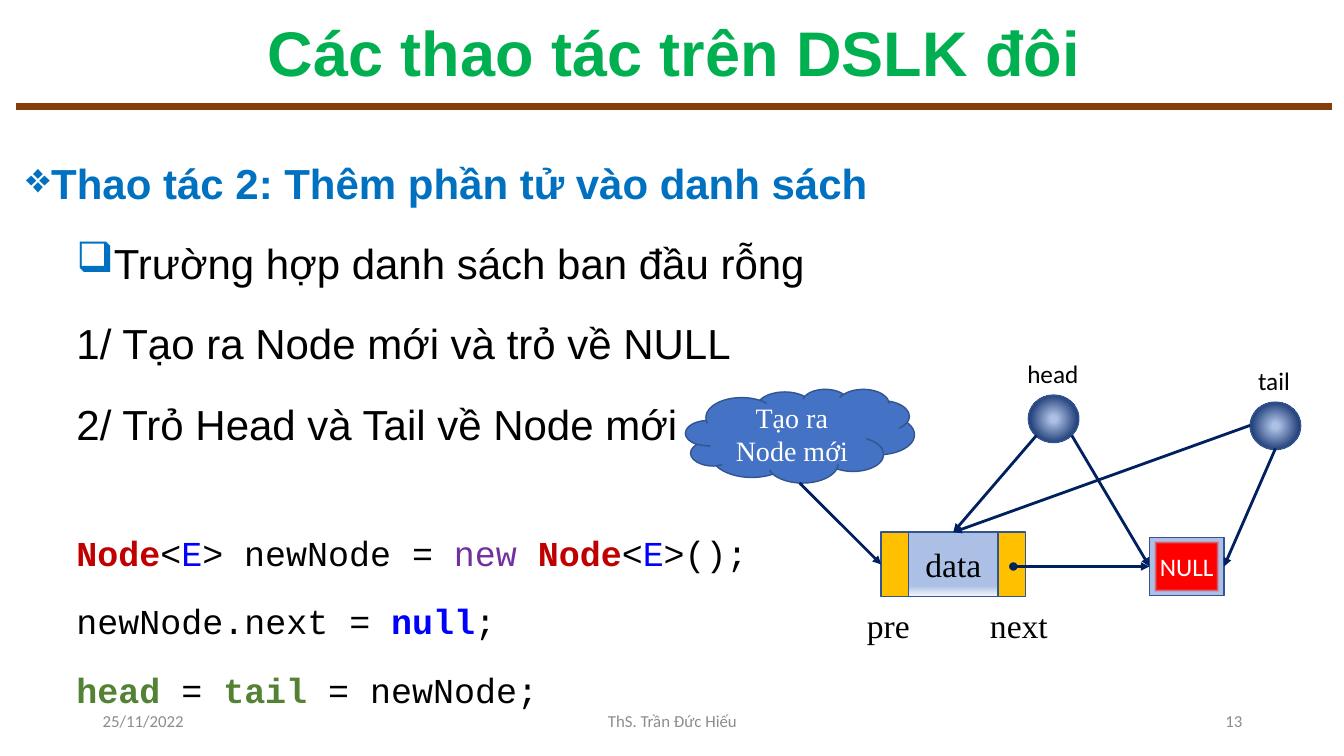
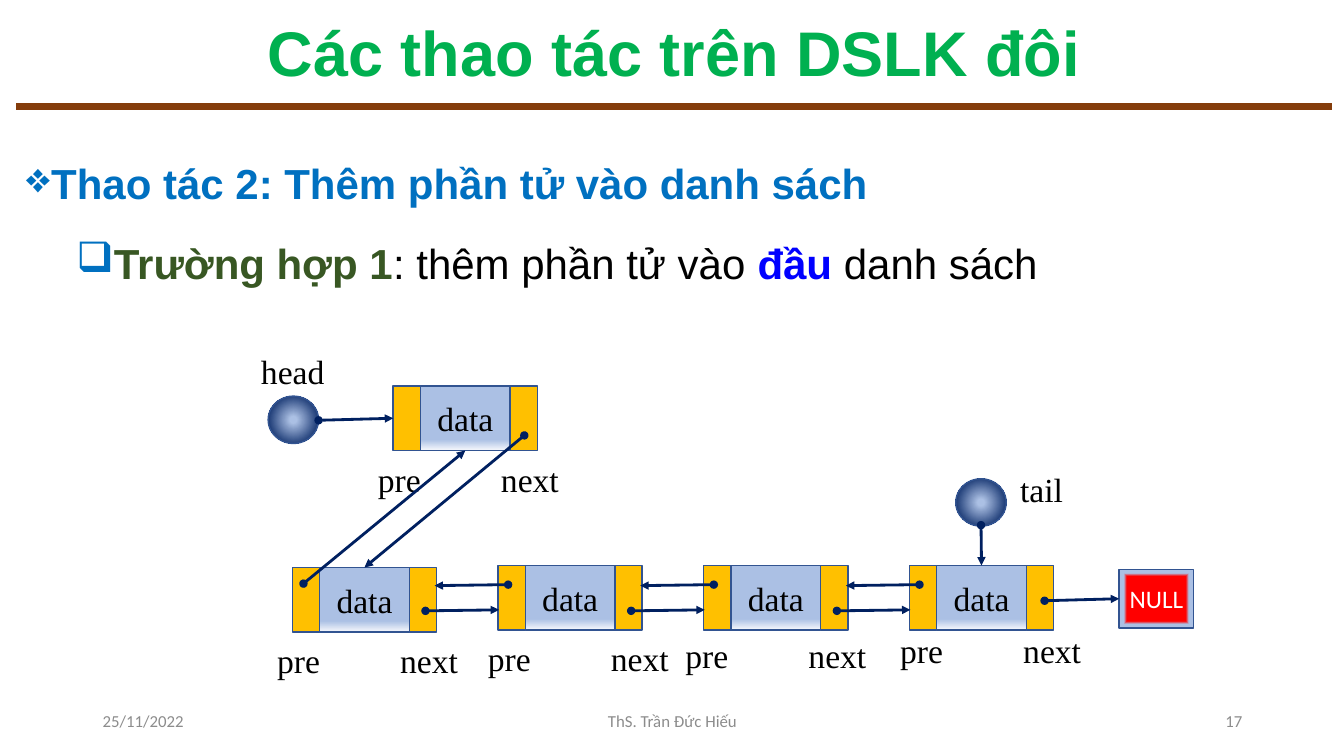
from lxml.etree import SubElement
from pptx import Presentation
from pptx.dml.color import RGBColor
from pptx.enum.shapes import MSO_CONNECTOR, MSO_SHAPE
from pptx.enum.text import MSO_ANCHOR, MSO_AUTO_SIZE, PP_ALIGN
from pptx.oxml.ns import qn
from pptx.util import Inches, Pt

GREEN = RGBColor(0x00, 0xB0, 0x50)
BROWN = RGBColor(0x84, 0x3C, 0x0B)
BLUE = RGBColor(0x00, 0x70, 0xC0)
GRAY = RGBColor(0x8C, 0x8C, 0x8C)
BLACK = RGBColor(0x00, 0x00, 0x00)
WHITE = RGBColor(0xFF, 0xFF, 0xFF)
NAVY = RGBColor(0x00, 0x20, 0x60)
EDGE = RGBColor(0x32, 0x54, 0x91)
CLOUD = RGBColor(0x44, 0x72, 0xC4)
GOLD = RGBColor(0xFF, 0xC0, 0x00)
PALE = RGBColor(0xAB, 0xC0, 0xE4)
FROST = RGBColor(0xF6, 0xF8, 0xFC)
RED = RGBColor(0xFF, 0x00, 0x00)
CRIMSON = RGBColor(0xC0, 0x00, 0x00)
PURE = RGBColor(0x00, 0x00, 0xFF)
PURPLE = RGBColor(0x70, 0x30, 0xA0)
MOSS = RGBColor(0x54, 0x82, 0x35)
PINE = RGBColor(0x38, 0x57, 0x23)

SANS, SERIF, MONO, PLAIN = "Arial", "Times New Roman", "Courier New", "Calibri"
TOP, LEFT, BOTTOM, RIGHT = range(4)
END, PITCH = 2.7, 20.4  # node end width, step between nodes


def cell(n):
    """Length of n grid cells; the slide is 133.3 columns by 75 rows."""
    return Inches(n / 10)


def blend(shape, stops, way=None):
    """Fill with a gradient, downward or out from the centre."""
    shape.fill.background()
    old = shape._element.spPr.find(qn("a:noFill"))
    grad = old.makeelement(qn("a:gradFill"), {"rotWithShape": "1"})
    old.getparent().replace(old, grad)
    group = SubElement(grad, qn("a:gsLst"))
    for at, color in stops:
        stop = SubElement(group, qn("a:gs"), pos=str(at * 1000))
        SubElement(stop, qn("a:srgbClr"), val=str(color))
    if way:
        route = SubElement(grad, qn("a:path"), {"path": way})
        SubElement(route, qn("a:fillToRect"), dict.fromkeys("ltrb", "50000"))
    else:
        SubElement(grad, qn("a:lin"), ang="5400000", scaled="0")


def style(para, size, font, color=None, bold=None, align=None):
    para.font.size, para.font.name, para.font.bold = Pt(size), font, bold
    if color is not None:
        para.font.color.rgb = color
    if align is not None:
        para.alignment = align


def joint(end):
    """Whether a line's end is (shape, side) and not a point (x, y)."""
    return not isinstance(end[0], (int, float))


class Deck:
    def __init__(self):
        self.file = Presentation()
        self.file.slide_width, self.file.slide_height = cell(133.3), cell(75)
        self.slide = None

    def page(self, title, number):
        layout = self.file.slide_layouts[5]
        self.slide = self.file.slides.add_slide(layout)
        self.line((1.6, 10.6), (132.1, 10.6), BROWN, 5)
        head = self.slide.shapes.title
        head.left, head.top, head.width, head.height = map(
            cell, (1.6, 1.5, 130.5, 8.1))
        frame = head.text_frame
        frame.text = title
        frame.word_wrap = True
        frame.auto_size = MSO_AUTO_SIZE.NONE
        frame.vertical_anchor = MSO_ANCHOR.MIDDLE
        frame.paragraphs[0].line_spacing = 0.9
        style(frame.paragraphs[0], 45, SANS, GREEN, True, PP_ALIGN.CENTER)
        for x, w, text, align in (
                (9.2, 30, "25/11/2022", PP_ALIGN.LEFT),
                (44.2, 45, "ThS. Trần Đức Hiếu", PP_ALIGN.CENTER),
                (94.2, 30, number, PP_ALIGN.RIGHT)):
            foot = self.label(x, 69.5, w, text, 12, PLAIN, GRAY, align, 4)
            foot.word_wrap = True
            foot.vertical_anchor = MSO_ANCHOR.MIDDLE

    def box(self, x, y, w, h):
        area = self.slide.shapes.add_textbox(*map(cell, (x, y, w, h)))
        return area.text_frame

    def label(self, x, y, w, text, size=24, font=SERIF, color=BLACK,
              align=PP_ALIGN.LEFT, h=5):
        frame = self.box(x, y, w, h)
        frame.text = text
        frame.word_wrap = False
        style(frame.paragraphs[0], size, font, color, align=align)
        return frame

    def body(self, items):
        """Items are (runs, options); a run is (text, colour, bold)."""
        frame = self.box(1.6, 13.6, 130.5, 60.5)
        frame.word_wrap = True
        for i, (runs, options) in enumerate(items):
            para = frame.add_paragraph() if i else frame.paragraphs[0]
            self.item(para, runs, **options)

    def item(self, para, runs, size=30, font=SANS, mark=None, left=0.5,
             before=7, lines=1.4, align=PP_ALIGN.JUSTIFY):
        props = para._p.get_or_add_pPr()
        props.set("marL", str(Inches(left)))
        props.set("indent", str(Inches(-0.25 if mark else 0)))
        if mark:
            tint = SubElement(props, qn("a:buClr"))
            SubElement(tint, qn("a:srgbClr"), val=str(BLUE))
            SubElement(props, qn("a:buChar"), char=mark)
        para.line_spacing, para.space_before = lines, Pt(before)
        style(para, size, font, align=align)
        for text, color, bold in runs:
            run = para.add_run()
            run.text, run.font.bold = text, bold
            run.font.color.rgb = color

    def shape(self, kind, x, y, w, h, fill, way=None):
        """Outlined shape; fill is a colour or a list of gradient stops."""
        form = self.slide.shapes.add_shape(kind, *map(cell, (x, y, w, h)))
        form.shadow.inherit = False
        if isinstance(fill, list):
            blend(form, fill, way)
        else:
            form.fill.solid()
            form.fill.fore_color.rgb = fill
        form.line.color.rgb, form.line.width = EDGE, Pt(1)
        return form

    def caption(self, form, text, size, font, color, wrap=False):
        frame = form.text_frame
        frame.text = text
        frame.word_wrap = wrap
        frame.vertical_anchor = MSO_ANCHOR.MIDDLE
        style(frame.paragraphs[0], size, font, color, align=PP_ALIGN.CENTER)

    def node(self, x, y, dx=-2.5, dy=6.7):
        """Draw pre, data and next; dx and dy place the labels below."""
        data = self.shape(MSO_SHAPE.RECTANGLE, x + END, y, 8.9, 6.4,
                          [(74, PALE), (83, PALE), (100, FROST)])
        self.caption(data, "data", 24, SERIF, BLACK)
        pre, _ = [self.shape(MSO_SHAPE.RECTANGLE, at, y, END, 6.4, GOLD)
                  for at in (x, x + END + 8.9)]
        self.label(x + dx, y + dy, 6.3, "pre")
        self.label(x + dx + 12.2, y + dy, 7.8, "next")
        return pre, data

    def null(self, x, y):
        form = self.shape(MSO_SHAPE.RECTANGLE, x, y, 7.4, 5.8,
                          [(77, RED), (87, PALE), (100, PALE)], "rect")
        self.caption(form, "NULL", 18, PLAIN, WHITE)
        return form

    def ball(self, x, y):
        self.shape(MSO_SHAPE.OVAL, x, y, 5, 4.7,
                   [(10, PALE), (85, NAVY), (100, PALE)], "circle")

    def line(self, start, end, color=NAVY, width=2):
        """Each end is a point (x, y) or a joint (shape, side)."""
        spots = [(0, 0) if joint(p) else p for p in (start, end)]
        link = self.slide.shapes.add_connector(
            MSO_CONNECTOR.STRAIGHT, *(cell(n) for p in spots for n in p))
        for p, glue in ((start, link.begin_connect), (end, link.end_connect)):
            if joint(p):
                glue(*p)
        link.line.color.rgb, link.line.width = color, Pt(width)
        SubElement(link._element.spPr, qn("a:effectLst"))
        return link

    def arrow(self, start, end, dot=True):
        edge = self.line(start, end).line._get_or_add_ln()
        if dot:
            SubElement(edge, qn("a:headEnd"), type="oval")
        SubElement(edge, qn("a:tailEnd"), type="triangle")


TITLE = "Các thao tác trên DSLK đôi"
TOPIC = ([("Thao tác 2: Thêm phần tử vào danh sách", BLUE, True)],
         dict(mark="❖", left=0.25, before=14, lines=1.3, align=PP_ALIGN.LEFT))
CASE = dict(mark="❑", left=0.75)
CODE = dict(size=25, font=MONO)


def empty(deck):
    """Insert into an empty list."""
    deck.page(TITLE, "13")
    deck.body([
        TOPIC,
        ([("Trường hợp danh sách ban đầu rỗng", BLACK, False)], CASE),
        ([("1/ Tạo ra Node mới và trỏ về NULL", BLACK, False)], {}),
        ([("2/ Trỏ Head và Tail về Node mới", BLACK, False)], {}),
        ([("Node", CRIMSON, True), ("<", BLACK, False), ("E", PURE, False),
          ("> newNode = ", BLACK, False), ("new ", PURPLE, False),
          ("Node", CRIMSON, True), ("<", BLACK, False), ("E", PURE, False),
          (">();", BLACK, False)], dict(CODE, before=47)),
        ([("newNode.next = ", BLACK, False), ("null", PURE, True),
          (";", BLACK, False)], CODE),
        ([("head", MOSS, True), (" = ", BLACK, False), ("tail", MOSS, True),
          (" = newNode;", BLACK, False)], CODE),
    ])
    cloud = deck.shape(MSO_SHAPE.CLOUD, 68, 38.6, 22.7, 9.3, CLOUD)
    deck.caption(cloud, "Tạo ra Node mới", 20, SERIF, WHITE, True)
    pre, data = deck.node(87.4, 52.8, -2.4)
    null = deck.null(114, 53.3)
    for x, y, w, text in ((102, 39.2, 7.2, "head"), (124, 39.9, 5.4, "tail")):
        deck.ball(x, y)
        deck.label(x + 2.5 - w / 2, y - 4.1, w, text, 18, PLAIN, h=4)
    for start, end in (((106.3, 43.2), (null, LEFT)),
                       ((126.5, 44.5), (null, RIGHT)),
                       ((102.8, 43.2), (data, TOP)),
                       ((124, 42.2), (data, TOP)),
                       ((79.3, 47.9), (pre, LEFT))):
        deck.arrow(start, end, False)
    deck.arrow((100.5, 56.2), (null, LEFT))


def front(deck):
    """Insert at the front of a list."""
    deck.page(TITLE, "17")
    deck.body([
        TOPIC,
        ([("Trường hợp 1", PINE, True),
          (": thêm phần tử vào ", BLACK, False), ("đầu", PURE, True),
          (" danh sách", BLACK, False)], CASE),
    ])
    null = deck.null(111, 56.5)
    deck.label(100.2, 46, 6.3, "tail")
    deck.ball(94.8, 47.5)
    deck.label(24.9, 34.3, 8.4, "head")
    deck.ball(26.6, 39.3)
    row = [deck.node(29 + PITCH * i, y, dx, dy) for i, (y, dx, dy) in enumerate(
        ((56.3, -2.5, 6.7), (56.1, -2, 6.7), (56.1, -2.8, 6.4),
         (56.1, -1.9, 5.9)))]
    pre, data = deck.node(39, 38.3)
    for i in range(len(row) - 1):
        x = 29 + PITCH * i
        deck.arrow((x + 13.2, 60.6), (x + 20.5, 60.5))
        deck.arrow((x + 21.4, 58), (x + 14.1, 58.1))
    deck.arrow((103.6, 59.6), (null, LEFT))
    deck.arrow((97.3, 52.1), (row[-1][1], TOP))
    deck.arrow((52, 43.2), (row[0][1], TOP))
    deck.arrow((30.1, 57.9), (data, BOTTOM))
    deck.arrow((31.6, 41.7), (pre, LEFT))


def main():
    deck = Deck()
    empty(deck)
    front(deck)
    deck.file.save("out.pptx")


if __name__ == "__main__":
    main()
